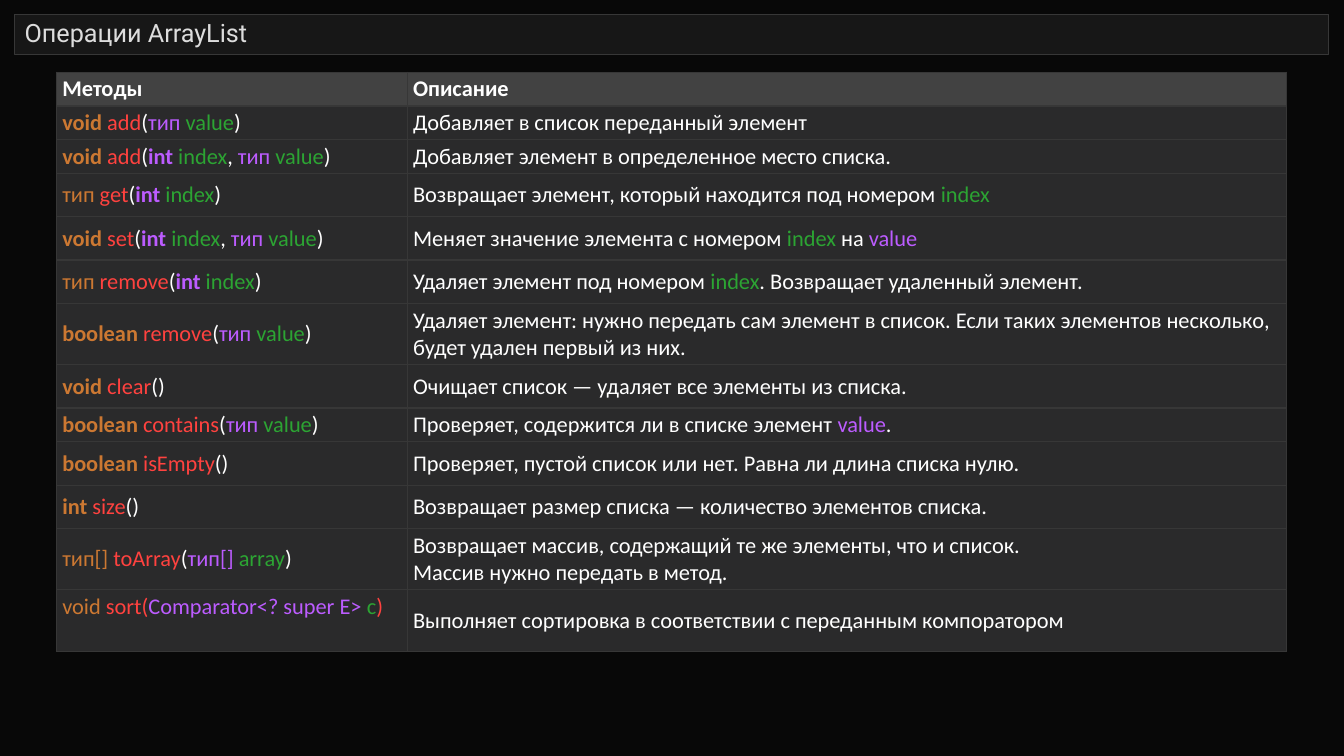
from dataclasses import dataclass
from typing import Any

from lxml.etree import SubElement
from pptx import Presentation
from pptx.dml.color import RGBColor
from pptx.enum.shapes import MSO_SHAPE
from pptx.enum.text import MSO_ANCHOR, PP_ALIGN
from pptx.oxml.ns import qn
from pptx.util import Cm, Pt

BACKGROUND = RGBColor(0x08, 0x08, 0x08)
TITLE_FILL = RGBColor(0x17, 0x17, 0x17)
TITLE_TEXT = RGBColor(0xDD, 0xDD, 0xDD)
BORDER = RGBColor(0x37, 0x37, 0x37)
HEADER_FILL = RGBColor(0x42, 0x42, 0x42)
BODY_FILL = RGBColor(0x2A, 0x2A, 0x2B)
WHITE = RGBColor(0xFF, 0xFF, 0xFF)
ORANGE = RGBColor(0xCC, 0x78, 0x32)
RED = RGBColor(0xFF, 0x42, 0x3F)
PURPLE = RGBColor(0xBC, 0x5C, 0xFF)
GREEN = RGBColor(0x2C, 0xA4, 0x33)

KEYWORDS = {"void", "int", "boolean"}
LOW, MIDDLE, HIGH = Cm(0.85), Cm(1.09), Cm(1.55)
COLUMN_WIDTHS = (Cm(8.84), Cm(22.17))
CELL_FORMAT = {
    "margin_left": Cm(0.15),
    "margin_right": Cm(0.15),
    "margin_top": Cm(0.08),
    "margin_bottom": Cm(0.08),
}


@dataclass(frozen=True)
class Span:
    text: str
    color: RGBColor = WHITE
    bold: bool = False


@dataclass(frozen=True)
class Row:
    height: int
    method: list[Span]
    description: list[Span]
    fill: RGBColor = BODY_FILL
    method_anchor: Any = MSO_ANCHOR.MIDDLE


def signature(returns: str, name: str, *params: str) -> list[Span]:
    spans = [Span(f"{returns} ", ORANGE, returns in KEYWORDS), Span(name, RED)]
    if not params:
        return spans + [Span("()")]
    spans.append(Span("("))
    for i, param in enumerate(params):
        kind, arg = param.split()
        if i:
            spans.append(Span(", "))
        spans += [Span(f"{kind} ", PURPLE, kind in KEYWORDS), Span(arg, GREEN)]
    return spans + [Span(")")]


INDEX = Span("index", GREEN)
VALUE = Span("value", PURPLE)

ROWS = [
    Row(LOW, [Span("Методы", bold=True)], [Span("Описание", bold=True)], HEADER_FILL),
    Row(LOW, signature("void", "add", "тип value"),
        [Span("Добавляет в список переданный элемент")]),
    Row(LOW, signature("void", "add", "int index", "тип value"),
        [Span("Добавляет элемент в определенное место списка.")]),
    Row(MIDDLE, signature("тип", "get", "int index"),
        [Span("Возвращает элемент, который находится под номером "), INDEX]),
    Row(MIDDLE, signature("void", "set", "int index", "тип value"),
        [Span("Меняет значение элемента с номером "), INDEX, Span(" на "), VALUE]),
    Row(MIDDLE, signature("тип", "remove", "int index"),
        [Span("Удаляет элемент под номером "), INDEX,
         Span(". Возвращает удаленный элемент.")]),
    Row(HIGH, signature("boolean", "remove", "тип value"),
        [Span("Удаляет элемент: нужно передать сам элемент в список. "
              "Если таких элементов несколько, будет удален первый из них.")]),
    Row(MIDDLE, signature("void", "clear"),
        [Span("Очищает список — удаляет все элементы из списка.")]),
    Row(LOW, signature("boolean", "contains", "тип value"),
        [Span("Проверяет, содержится ли в списке элемент "), VALUE, Span(".")]),
    Row(MIDDLE, signature("boolean", "isEmpty"),
        [Span("Проверяет, пустой список или нет. Равна ли длина списка нулю.")]),
    Row(MIDDLE, signature("int", "size"),
        [Span("Возвращает размер списка — количество элементов списка.")]),
    Row(HIGH, signature("тип[]", "toArray", "тип[] array"),
        [Span("Возвращает массив, содержащий те же элементы, что и список.\n"
              "Массив нужно передать в метод.")]),
    Row(HIGH,
        [Span("void", ORANGE), Span(" sort(", RED),
         Span("Comparator<? super E> ", PURPLE), Span("c", GREEN), Span(")", RED)],
        [Span("Выполняет сортировка в соответствии с переданным компоратором")],
        method_anchor=MSO_ANCHOR.TOP),
]


def apply_format(obj: Any, values: dict[str, Any]) -> None:
    for name, value in values.items():
        setattr(obj, name, value)


def write_spans(p: Any, spans: list[Span], font: str, size: int) -> None:
    for span in spans:
        for i, line in enumerate(span.text.split("\n")):
            if i:
                p.add_line_break()
            r = p.add_run()
            r.text = line
            apply_format(r.font, {"name": font, "size": Pt(size), "bold": span.bold})
            r.font.color.rgb = span.color


def add_borders(cell: Any) -> None:
    tc_pr = cell._tc.get_or_add_tcPr()
    for i, side in enumerate(("lnL", "lnR", "lnT", "lnB")):
        ln = SubElement(tc_pr, qn(f"a:{side}"), w=str(Pt(1)))
        fill = SubElement(ln, qn("a:solidFill"))
        SubElement(fill, qn("a:srgbClr"), val=str(BORDER))
        tc_pr.remove(ln)
        tc_pr.insert(i, ln)


def add_title(s: Any, text: str) -> None:
    sp = s.shapes.add_shape(MSO_SHAPE.RECTANGLE, Cm(0.37), Cm(0.36), Cm(33.12), Cm(1.02))
    sp.shadow.inherit = False
    sp.fill.solid()
    sp.fill.fore_color.rgb = TITLE_FILL
    sp.line.color.rgb = BORDER
    sp.line.width = Pt(0.75)
    tf = sp.text_frame
    apply_format(tf, {"word_wrap": True, "vertical_anchor": MSO_ANCHOR.MIDDLE})
    p = tf.paragraphs[0]
    apply_format(p, {"alignment": PP_ALIGN.LEFT, "line_spacing": 0.9})
    write_spans(p, [Span(text, TITLE_TEXT)], "Roboto", 18)


def fill_cell(cell: Any, spans: list[Span], fill: RGBColor, anchor: Any) -> None:
    apply_format(cell, CELL_FORMAT | {"vertical_anchor": anchor})
    cell.fill.solid()
    cell.fill.fore_color.rgb = fill
    add_borders(cell)
    write_spans(cell.text_frame.paragraphs[0], spans, "Calibri", 16)


def add_methods_table(s: Any, rows: list[Row]) -> None:
    height = sum(row.height for row in rows)
    table = s.shapes.add_table(len(rows), len(COLUMN_WIDTHS), Cm(1.42), Cm(1.82),
                               sum(COLUMN_WIDTHS), height).table
    apply_format(table, {"first_row": True, "horz_banding": False})
    for column, width in zip(table.columns, COLUMN_WIDTHS):
        column.width = width
    for i, row in enumerate(rows):
        table.rows[i].height = row.height
        fill_cell(table.cell(i, 0), row.method, row.fill, row.method_anchor)
        fill_cell(table.cell(i, 1), row.description, row.fill, MSO_ANCHOR.MIDDLE)


def main() -> None:
    prs = Presentation()
    apply_format(prs, {"slide_width": Cm(33.87), "slide_height": Cm(19.05)})
    s = prs.slides.add_slide(prs.slide_layouts[6])
    s.background.fill.solid()
    s.background.fill.fore_color.rgb = BACKGROUND
    add_title(s, "Операции ArrayList")
    add_methods_table(s, ROWS)
    prs.save("out.pptx")


if __name__ == "__main__":
    main()
